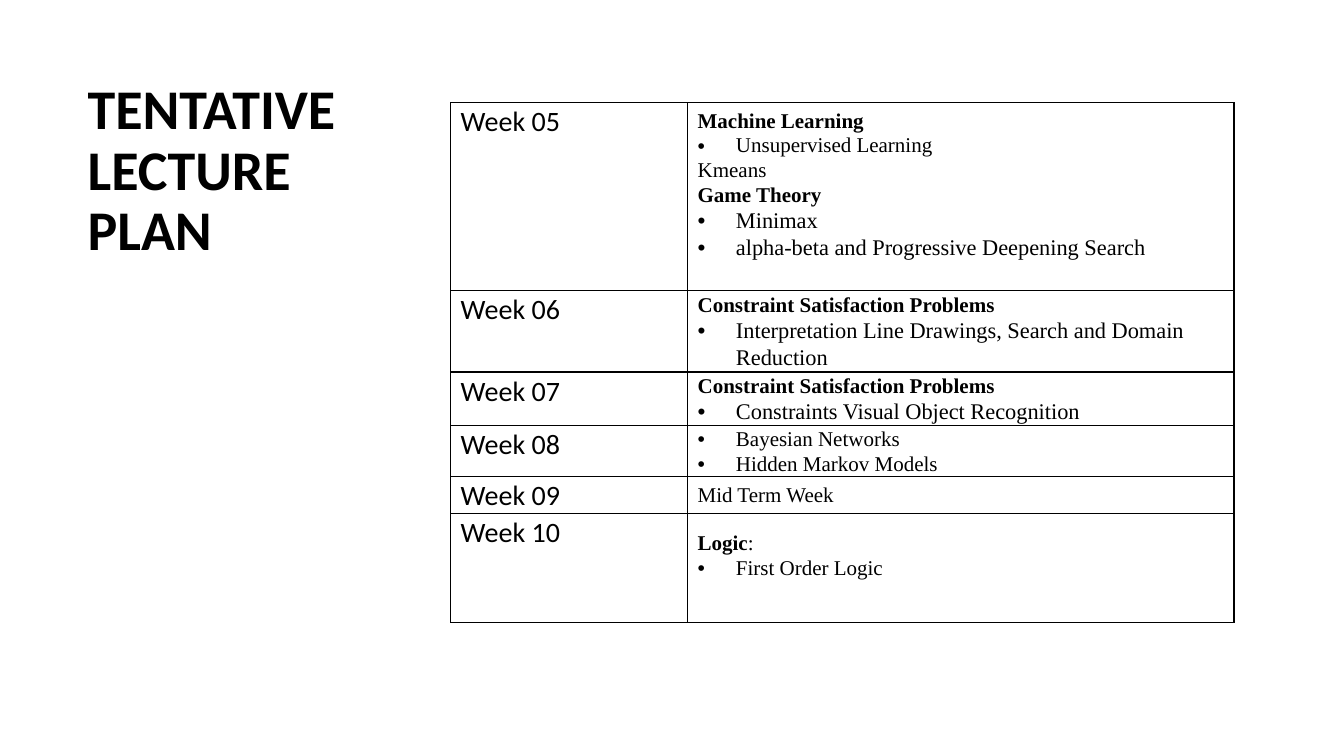
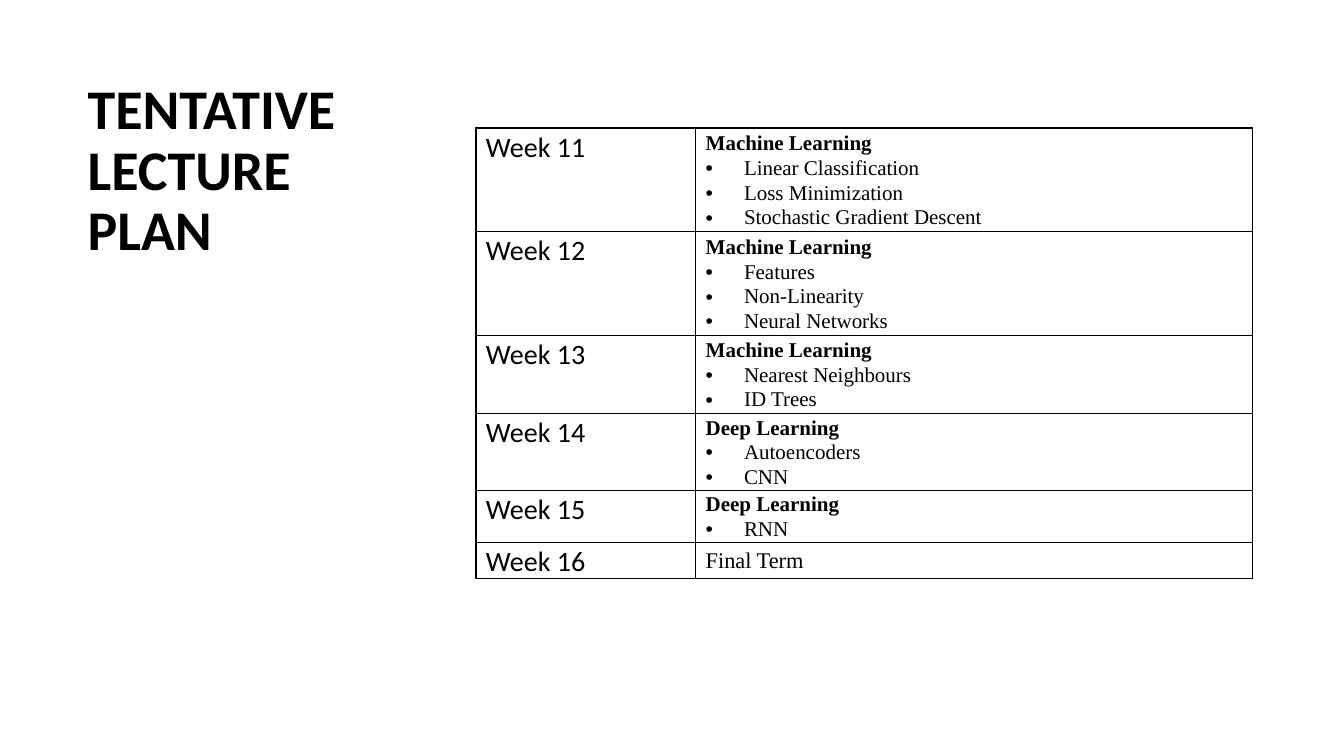
from dataclasses import dataclass

from lxml import etree
from pptx import Presentation, util as u
from pptx.dml.color import RGBColor
from pptx.enum import text as t
from pptx.oxml import ns

WIDTH, HEIGHT = u.Inches(13.33), u.Inches(7.5)
INK = "000000"
LABEL_FONT, TOPIC_FONT = "Calibri", "Times New Roman"
TITLE = "TENTATIVE LECTURE PLAN"
TITLE_BOX = (5.55, 5.47, 26.33, 34.53)
INDENT = u.Inches(0.38)


@dataclass
class Line:
    """One paragraph of a topic cell, as (text, bold) runs."""

    runs: list
    size: int = 15
    bulleted: bool = False


@dataclass
class Week:
    """One table row, with its height and bottom padding in percent of the slide."""

    height: float
    lines: list
    padding: float = 0


def heading(text, tail=""):
    """Return a bold line with an optional regular tail."""
    return Line([(text, True)] + ([(tail, False)] if tail else []))


def plain(text, size=15):
    """Return a regular line."""
    return Line([(text, False)], size)


def bullets(*texts, size=15):
    """Return one bulleted line for each text."""
    return [Line([(text, False)], size, True) for text in texts]


def across(percent):
    """Turn a percentage of the slide width into a length."""
    return round(WIDTH * percent / 100)


def down(percent):
    """Turn a percentage of the slide height into a length."""
    return round(HEIGHT * percent / 100)


def color(code):
    """Turn a hex string into a colour."""
    return RGBColor.from_string(code)


def add_run(paragraph, text, font, size, bold=False):
    """Append a formatted run to a paragraph."""
    run = paragraph.add_run()
    run.text = text
    run.font.name, run.font.size, run.font.bold = font, u.Pt(size), bold
    run.font.color.rgb = color(INK)


def add_bullet(paragraph):
    """Give a paragraph a hanging bullet."""
    properties = paragraph._p.get_or_add_pPr()
    properties.set("marL", str(INDENT))
    properties.set("indent", str(-INDENT))
    font = etree.SubElement(properties, ns.qn("a:buFont"))
    font.set("typeface", "Arial")
    etree.SubElement(properties, ns.qn("a:buChar")).set("char", "•")


def add_borders(cell):
    """Draw a thin solid line on all four sides of a cell."""
    properties = cell._tc.get_or_add_tcPr()
    for index, side in enumerate(("lnL", "lnR", "lnT", "lnB")):
        line = etree.Element(ns.qn(f"a:{side}"), w=str(u.Pt(1)))
        fill = etree.SubElement(line, ns.qn("a:solidFill"))
        etree.SubElement(fill, ns.qn("a:srgbClr")).set("val", INK)
        properties.insert(index, line)


def fill_cell(cell, lines, font, anchor, padding=0):
    """Format a cell and write its lines."""
    cell.fill.background()
    add_borders(cell)
    cell.margin_left = cell.margin_right = u.Inches(0.1)
    cell.margin_top, cell.margin_bottom = 0, down(padding)
    cell.vertical_anchor = anchor
    frame = cell.text_frame
    for index, line in enumerate(lines):
        paragraph = frame.add_paragraph() if index else frame.paragraphs[0]
        paragraph.line_spacing = 1.07
        if line.bulleted:
            add_bullet(paragraph)
        for text, bold in line.runs:
            add_run(paragraph, text, font, line.size, bold)


def add_title(slide):
    """Place the shared title at the left of the slide."""
    left, top, width, height = TITLE_BOX
    title = slide.shapes.title
    title.left, title.top = across(left), down(top)
    title.width, title.height = across(width), down(height)
    frame = title.text_frame
    frame.auto_size, frame.word_wrap = t.MSO_AUTO_SIZE.NONE, True
    frame.vertical_anchor = t.MSO_ANCHOR.MIDDLE
    frame.margin_left = frame.margin_right = u.Inches(0.13)
    frame.margin_top = frame.margin_bottom = u.Inches(0.07)
    paragraph = frame.paragraphs[0]
    paragraph.alignment = t.PP_ALIGN.LEFT
    paragraph.line_spacing, paragraph.space_after = 0.9, u.Pt(8)
    add_run(paragraph, TITLE, LABEL_FONT, 40, True)


def add_plan(slide, left, top, columns, first_week, weeks):
    """Add the table of weeks and their topics."""
    height = sum(week.height for week in weeks)
    table = slide.shapes.add_table(
        len(weeks), len(columns), across(left), down(top),
        across(sum(columns)), down(height)).table
    table.first_row = table.horz_banding = False
    for column, width in zip(table.columns, columns):
        column.width = across(width)
    for index, week in enumerate(weeks):
        row = table.rows[index]
        row.height = down(week.height)
        label, topics = row.cells
        name = plain(f"Week {first_week + index:02}", 20)
        fill_cell(label, [name], LABEL_FONT, t.MSO_ANCHOR.TOP)
        fill_cell(topics, week.lines, TOPIC_FONT, t.MSO_ANCHOR.MIDDLE, week.padding)


def add_plan_slide(presentation, *plan):
    """Add a slide with the shared title and one plan table."""
    slide = presentation.slides.add_slide(presentation.slide_layouts[5])
    add_plan(slide, *plan)
    add_title(slide)


def main():
    """Build and save the lecture plan."""
    presentation = Presentation()
    presentation.slide_width, presentation.slide_height = WIDTH, HEIGHT
    add_plan_slide(presentation, 33.53, 13.6, (17.63, 40.66), 5, [
        Week(24.8, [
            heading("Machine Learning"),
            *bullets("Unsupervised Learning"),
            plain("Kmeans"),
            heading("Game Theory"),
            *bullets("Minimax", "alpha-beta and Progressive Deepening Search", size=16),
        ], padding=3.3),
        Week(10.8, [
            heading("Constraint Satisfaction Problems"),
            *bullets("Interpretation Line Drawings, Search and Domain Reduction", size=16),
        ]),
        Week(7.07, [
            heading("Constraint Satisfaction Problems"),
            *bullets("Constraints Visual Object Recognition", size=16),
        ]),
        Week(6.8, bullets("Bayesian Networks", "Hidden Markov Models")),
        Week(4.53, [plain("Mid Term Week")]),
        Week(14.4, [heading("Logic", ":"), *bullets("First Order Logic")], padding=3.3),
    ])
    add_plan_slide(presentation, 35.41, 16.93, (16.35, 41.41), 11, [
        Week(13.73, [
            heading("Machine Learning"),
            *bullets("Linear Classification", "Loss Minimization",
                     "Stochastic Gradient Descent"),
        ]),
        Week(13.73, [
            heading("Machine Learning"),
            *bullets("Features", "Non-Linearity", "Neural Networks"),
        ]),
        Week(10.27, [
            heading("Machine Learning"),
            *bullets("Nearest Neighbours", "ID Trees"),
        ]),
        Week(10.27, [heading("Deep Learning"), *bullets("Autoencoders", "CNN")]),
        Week(6.8, [heading("Deep Learning"), *bullets("RNN")]),
        Week(4.53, [plain("Final Term", 16)]),
    ])
    presentation.save("out.pptx")


if __name__ == "__main__":
    main()
